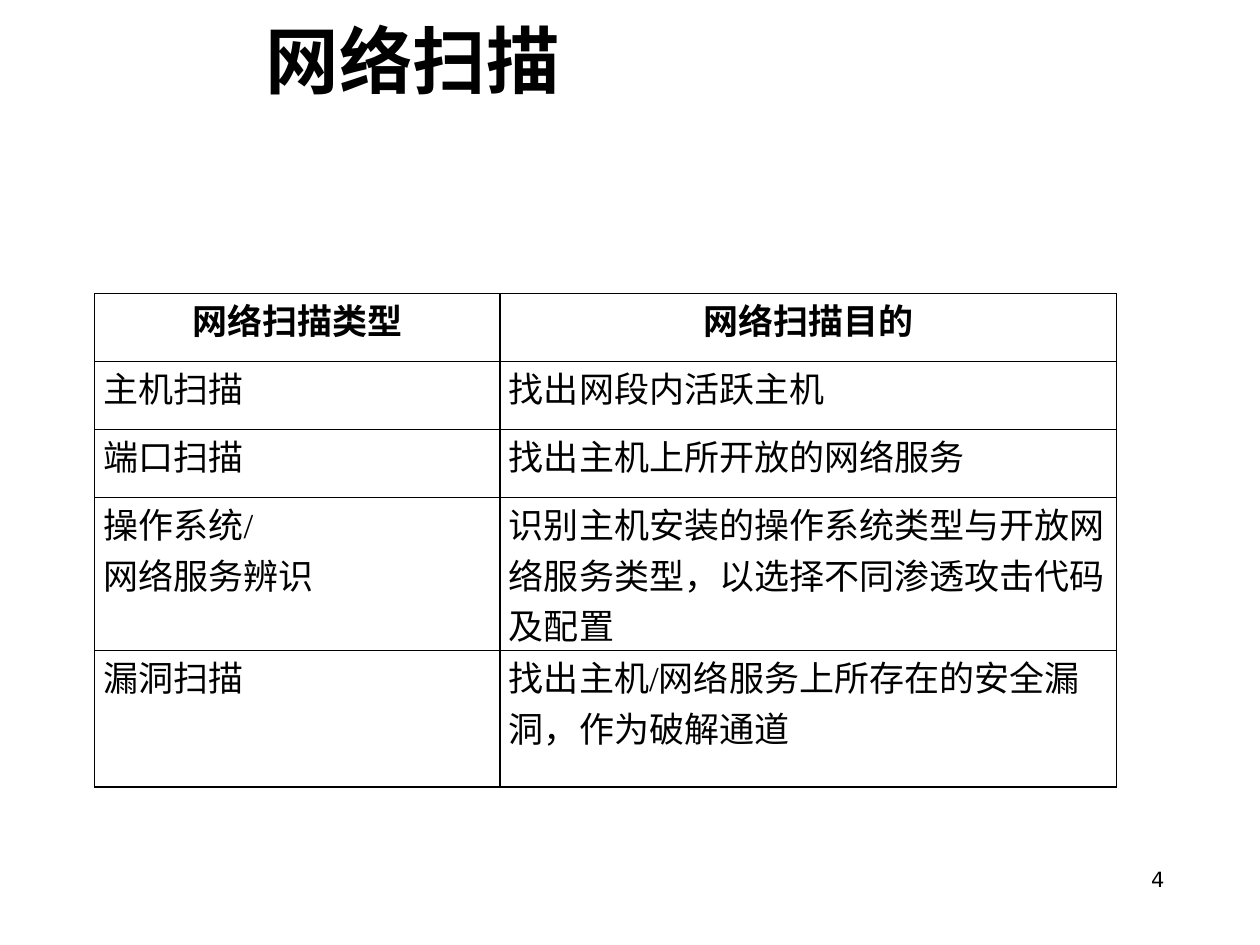
from pptx import Presentation
from pptx.dml.color import RGBColor
from pptx.enum.text import MSO_ANCHOR, PP_ALIGN
from pptx.oxml.ns import qn
from pptx.util import Inches, Pt
from lxml import etree

LEFT, CENTER, RIGHT = PP_ALIGN.LEFT, PP_ALIGN.CENTER, PP_ALIGN.RIGHT
TOP, BOTTOM = MSO_ANCHOR.TOP, MSO_ANCHOR.BOTTOM
BLACK = "000000"
SANS, SERIF = "DejaVu Sans", "Times New Roman"

TITLE = "网络扫描"
PAGE_NUMBER = "4"
SCAN_ROWS = [
    ("网络扫描类型", "网络扫描目的"),
    ("主机扫描", "找出网段内活跃主机"),
    ("端口扫描", "找出主机上所开放的网络服务"),
    ("操作系统/\n网络服务辨识",
     "识别主机安装的操作系统类型与开放网络服务类型，以选择不同渗透攻击代码及配置"),
    ("漏洞扫描", "找出主机/网络服务上所存在的安全漏洞，作为破解通道"),
]
COLUMN_WIDTHS = (3.22, 4.89)
ROW_UNIT = 0.54
ROW_SPANS = (1, 1, 1, 2.25, 2)  # the fourth row holds three lines of text


def color(value):
    return RGBColor.from_string(value)


def write(frame, text, size, font, align=LEFT, bold=False):
    frame.text = text
    for para in frame.paragraphs:
        para.alignment = align
        para.font.size = Pt(size)
        para.font.name = font
        para.font.bold = bold
        para.font.color.rgb = color(BLACK)


def add_text(page, place, text, size, font, align=LEFT, bold=False, anchor=TOP):
    box = page.shapes.add_textbox(*map(Inches, place))
    frame = box.text_frame
    frame.word_wrap = True
    frame.vertical_anchor = anchor
    write(frame, text, size, font, align, bold)


def outline(cell):
    """Draw a one-point line on all four sides of a cell."""
    properties = cell._tc.get_or_add_tcPr()
    for side in ("a:lnL", "a:lnR", "a:lnT", "a:lnB"):
        line = etree.SubElement(properties, qn(side), w=str(Pt(1)))
        fill = etree.SubElement(line, qn("a:solidFill"))
        etree.SubElement(fill, qn("a:srgbClr"), val=BLACK)


def add_scan_table(page, left, top):
    width, height = sum(COLUMN_WIDTHS), ROW_UNIT * sum(ROW_SPANS)
    table = page.shapes.add_table(
        len(SCAN_ROWS), len(COLUMN_WIDTHS),
        *map(Inches, (left, top, width, height))).table
    for column, column_width in zip(table.columns, COLUMN_WIDTHS):
        column.width = Inches(column_width)
    for row_index, (texts, span) in enumerate(zip(SCAN_ROWS, ROW_SPANS)):
        table.rows[row_index].height = Inches(ROW_UNIT * span)
        header = row_index == 0
        for column_index, text in enumerate(texts):
            cell = table.cell(row_index, column_index)
            cell.margin_left = cell.margin_right = Inches(0.07)
            cell.margin_top = cell.margin_bottom = 0
            outline(cell)
            cell.fill.background()
            write(cell.text_frame, text, 20, SERIF,
                  CENTER if header else LEFT, header)


def main():
    deck = Presentation()
    deck.slide_width, deck.slide_height = Inches(10), Inches(7.5)
    page = deck.slides.add_slide(deck.slide_layouts[6])
    add_text(page, (7.17, 6.83, 2.17, 0.52), PAGE_NUMBER, 12, SANS, RIGHT)
    add_text(page, (2.01, 0.21, 8.75, 0.66), TITLE, 42, SANS,
             bold=True, anchor=BOTTOM)
    add_scan_table(page, 0.75, 2.33)
    deck.save("out.pptx")


if __name__ == "__main__":
    main()
